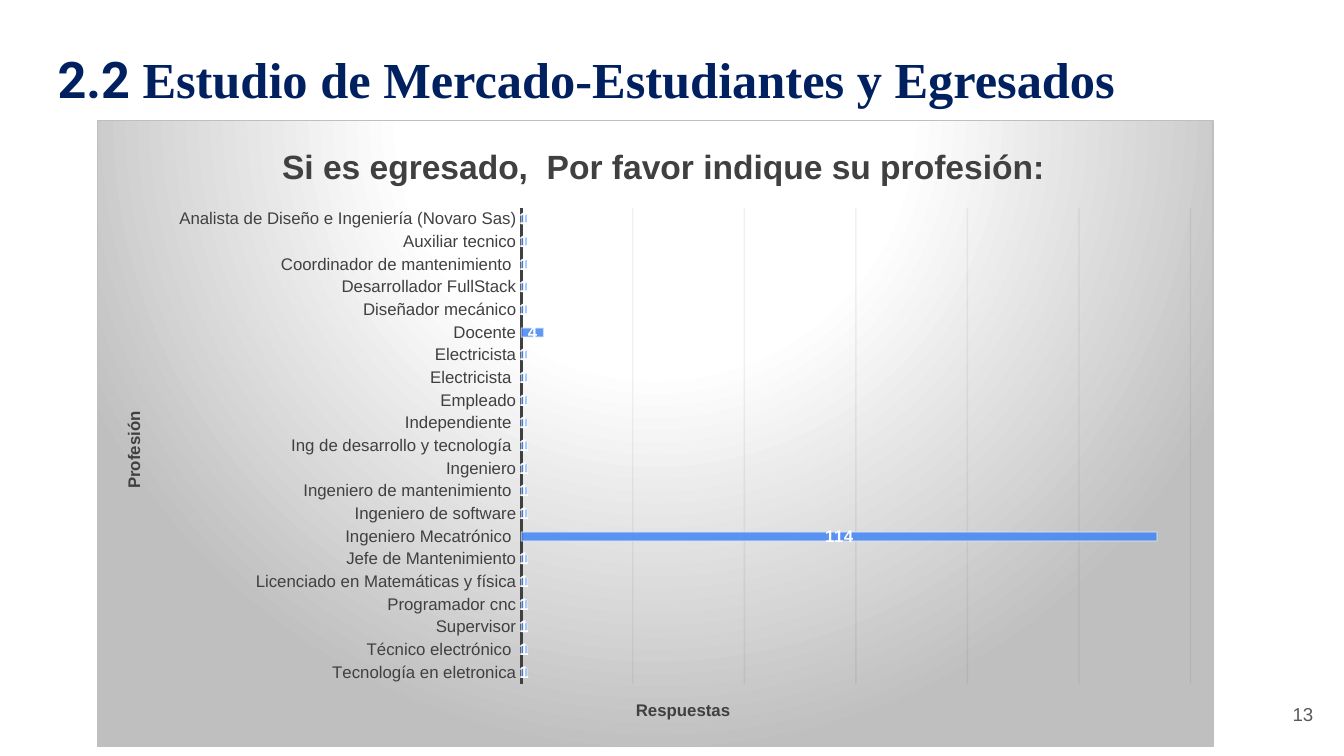
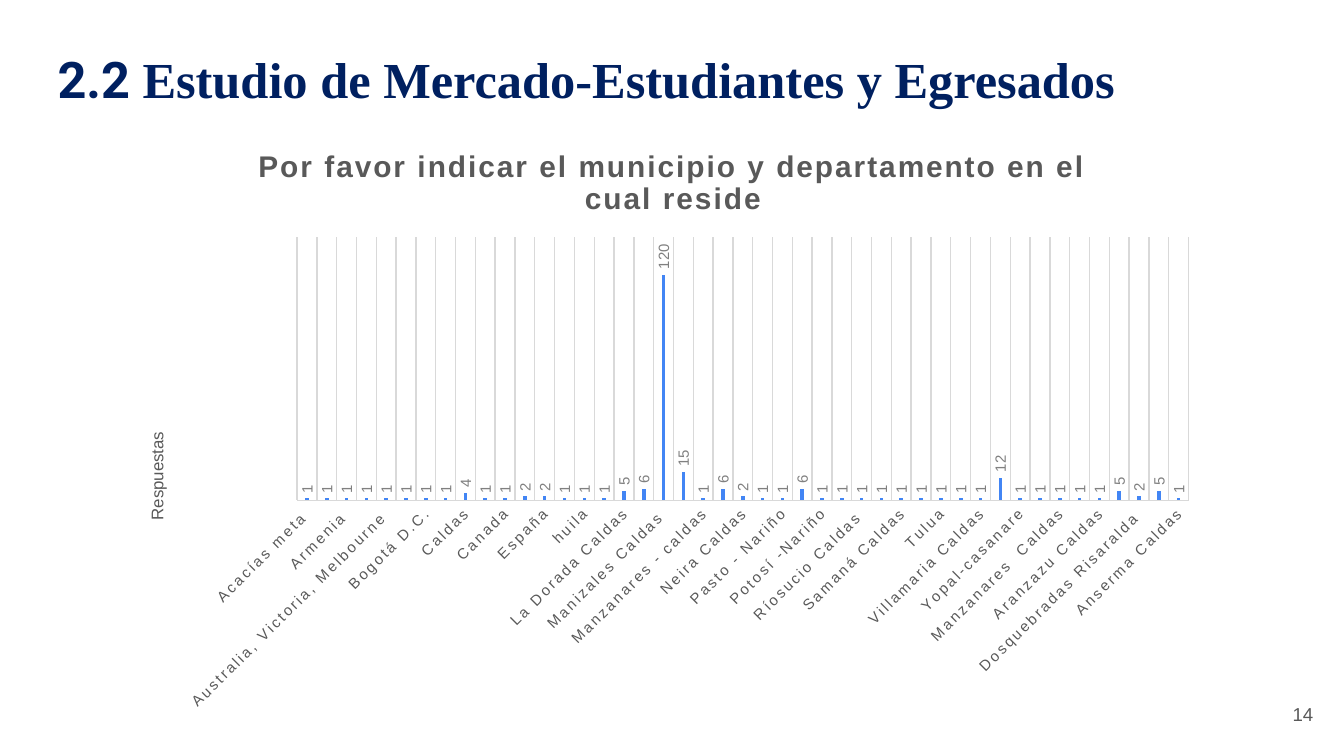
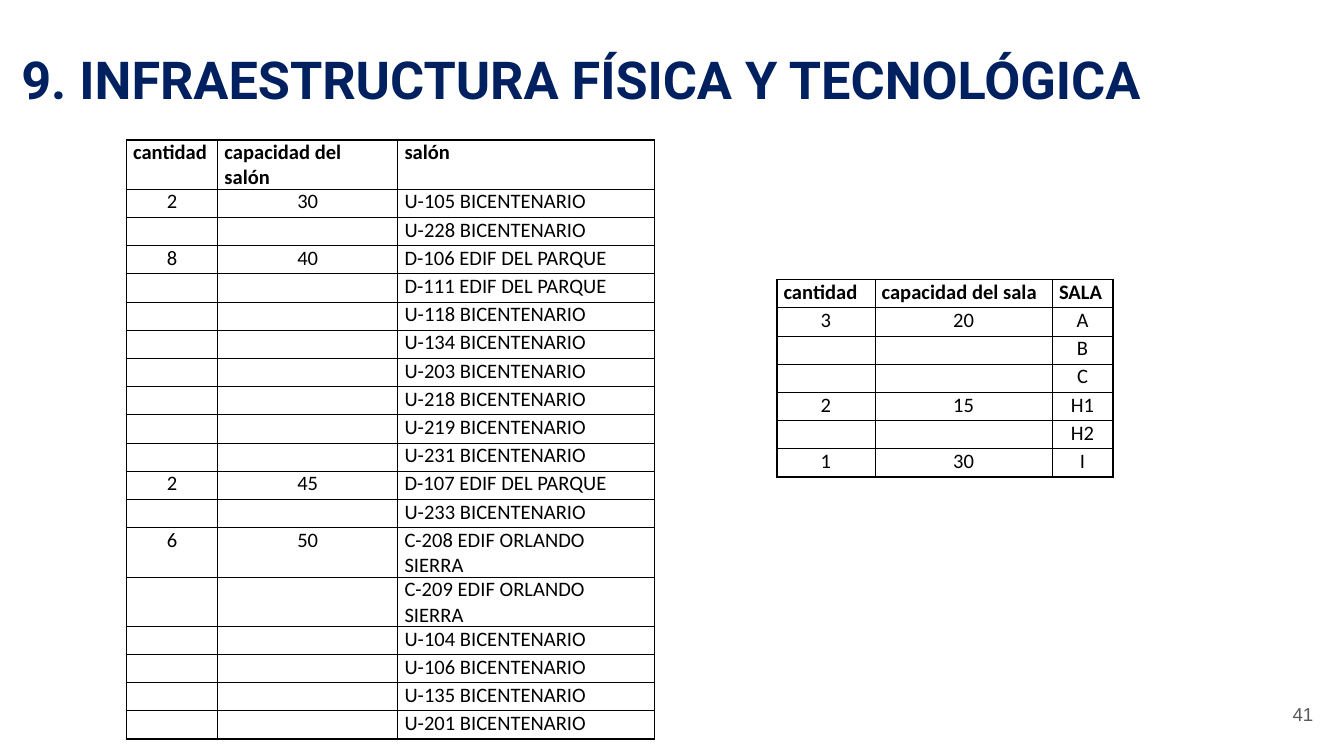
from lxml import etree
from pptx import Presentation
from pptx.chart.data import CategoryChartData
from pptx.dml.color import RGBColor
from pptx.enum.chart import XL_CHART_TYPE, XL_LABEL_POSITION, XL_TICK_MARK
from pptx.enum.text import MSO_ANCHOR, MSO_AUTO_SIZE, PP_ALIGN
from pptx.oxml import parse_xml
from pptx.oxml.ns import nsdecls, qn
from pptx.util import Inches, Pt

NAVY = RGBColor(0x00, 0x20, 0x60)
BLUE = RGBColor(0x42, 0x85, 0xF4)
WHITE = RGBColor(0xFF, 0xFF, 0xFF)
BLACK = RGBColor(0x00, 0x00, 0x00)
INK = RGBColor(0x0D, 0x0D, 0x0D)
DARK = RGBColor(0x40, 0x40, 0x40)
GREY = RGBColor(0x59, 0x59, 0x59)
MID = RGBColor(0x80, 0x80, 0x80)
PALE = RGBColor(0xD9, 0xD9, 0xD9)

STUDY = [("2.2 ", "Roboto"), ("Estudio de Mercado-Estudiantes y Egresados", "Times New Roman")]
INFRA = [("9. INFRAESTRUCTURA FÍSICA Y TECNOLÓGICA", "Roboto")]
# title runs, title size, title box, margin above and below, page number
PAGES = [
    (STUDY, 27, (0.33, 0.31, 8.76, 0.56), 0.05, "13"),
    (STUDY, 27, (0.33, 0.31, 8.76, 0.56), 0.05, "14"),
    (INFRA, 28, (0.06, 0.18, 9.18, 0.87), 0.1, "41"),
]

PROFESSIONS = [
    "Analista de Diseño e Ingeniería (Novaro Sas)", "Auxiliar tecnico",
    "Coordinador de mantenimiento ", "Desarrollador FullStack", "Diseñador mecánico",
    "Docente", "Electricista", "Electricista ", "Empleado", "Independiente ",
    "Ing de desarrollo y tecnología ", "Ingeniero", "Ingeniero de mantenimiento ",
    "Ingeniero de software", "Ingeniero Mecatrónico ", "Jefe de Mantenimiento",
    "Licenciado en Matemáticas y física", "Programador cnc", "Supervisor",
    "Técnico electrónico ", "Tecnología en eletronica",
]
TOWNS = [
    "Acacías meta ", "Andes Antioquia ", "Armenia ", "Atlantico",
    "Australia, Victoria, Melbourne ", "Barbosa", "Bogotá D.C.", "Bogotá DC", "Caldas",
    "Caldas ", "Canada", "Chinchina Caldas", "España", "Extranjero ", "huila", "Itagui ",
    "La Dorada Caldas", "Manizales Caldas", "Manizales Caldas ", "Manizales Caldas  ",
    "Manzanares - caldas", "Medellin Antioquia", "Neira Caldas", "Neiva, Huila",
    "Pasto - Nariño", "Pereira Risaralda ", "Potosí -Nariño", "Riosucio Caldas ",
    "Ríosucio Caldas ", "Risaralda ", "Samaná Caldas", "Santa rosa de cabal - Risaralda ",
    "Tulua", "Valledupar ", "Villamaria Caldas", "Villamaria Caldas ", "Yopal-casanare",
    "Zipaquirá", "Manzanares  Caldas", "Manizales Caldas   ", "Aranzazu Caldas",
    "Chinchiná Caldas", "Dosquebradas Risaralda ", "Cali Valle del Cauca ", "Anserma Caldas",
]
# answers other than one
PROFESSION_COUNTS = {"Docente": 4, "Ingeniero Mecatrónico ": 114}
TOWN_COUNTS = {
    "Caldas": 4, "Chinchina Caldas": 2, "España": 2, "La Dorada Caldas": 5,
    "Manizales Caldas": 6, "Manizales Caldas ": 120, "Manizales Caldas  ": 15,
    "Medellin Antioquia": 6, "Neira Caldas": 2, "Pereira Risaralda ": 6,
    "Villamaria Caldas ": 12, "Chinchiná Caldas": 5, "Dosquebradas Risaralda ": 2,
    "Cali Valle del Cauca ": 5,
}
UPRIGHT = -5400000
# Each chart: titles are (owner, text, size, bold, spacing, rotation, x, y)
CHARTS = [
    dict(kind=XL_CHART_TYPE.BAR_STACKED, box=(0.72, 0.89, 8.31, 4.67),
         names=PROFESSIONS, counts=PROFESSION_COUNTS, top=120, gap=150, overlap=100,
         plot=(0.38, 0.14, 0.6, 0.76), color=DARK, size=9, axis=(DARK, 1.5),
         label=(XL_LABEL_POSITION.CENTER, 9, WHITE, True),
         titles=[("chart", "Si es egresado,  Por favor indique su profesión:", 18, True, 0, 0, 0.16, 0.03),
                 ("category", "Profesión", 9, True, 0, UPRIGHT, 0.02, 0.46),
                 ("value", "Respuestas", 9, True, 0, 0, 0.48, 0.92)]),
    dict(kind=XL_CHART_TYPE.COLUMN_CLUSTERED, box=(0.9, 0.92, 8.19, 4.45),
         names=TOWNS, counts=TOWN_COUNTS, top=140, gap=444, overlap=-90,
         plot=(0.16, 0.19, 0.81, 0.44), color=GREY, size=8, axis=(PALE, 0.75),
         label=(XL_LABEL_POSITION.OUTSIDE_END, 8, MID, False),
         titles=[("chart", "Por favor indicar el municipio y departamento en el cual reside",
                  16, True, 120, 0, 0.12, 0.03),
                 ("value", "Respuestas", 9, False, 0, UPRIGHT, 0.02, 0.51)]),
]

ROOM_GROUPS = [
    ("2", "30", ["U-105 BICENTENARIO", "U-228 BICENTENARIO"]),
    ("8", "40", ["D-106 EDIF DEL PARQUE", "D-111 EDIF DEL PARQUE", "U-118 BICENTENARIO",
                 "U-134 BICENTENARIO", "U-203 BICENTENARIO", "U-218 BICENTENARIO",
                 "U-219 BICENTENARIO", "U-231 BICENTENARIO"]),
    ("2", "45", ["D-107 EDIF DEL PARQUE", "U-233 BICENTENARIO"]),
    ("6", "50", ["C-208 EDIF ORLANDO SIERRA", "C-209 EDIF ORLANDO SIERRA", "U-104 BICENTENARIO",
                 "U-106 BICENTENARIO", "U-135 BICENTENARIO", "U-201 BICENTENARIO"]),
]
LAB_GROUPS = [("3", "20", ["A", "B", "C"]), ("2", "15", ["H1", "H2"]), ("1", "30", ["I"])]
# left, top, column widths, header, groups, number of centred columns
TABLES = [
    (0.94, 1.04, (0.68, 1.34, 1.91), ("cantidad", "capacidad del salón", "salón"), ROOM_GROUPS, 2),
    (5.78, 2.08, (0.73, 1.32, 0.45), ("cantidad", "capacidad del sala", "SALA"), LAB_GROUPS, 3),
]


def place(element, **fractions):
    """Give a chart title or plot area a manual layout, in fractions of the chart."""
    for old in element.xpath("c:layout"):
        element.remove(old)
    is_plot = element.tag == qn("c:plotArea")
    layout = etree.Element(qn("c:layout"))
    manual = etree.SubElement(layout, qn("c:manualLayout"))
    settings = {"layoutTarget": "inner"} if is_plot else {}
    settings.update(xMode="edge", yMode="edge", **fractions)
    for name, value in settings.items():
        etree.SubElement(manual, qn("c:" + name)).set("val", str(value))
    element.insert(0 if is_plot else 1, layout)


def set_alpha(element, percent):
    color = element.xpath(".//a:srgbClr")[0]
    etree.SubElement(color, qn("a:alpha")).set("val", str(percent * 1000))


prs = Presentation()
prs.slide_width, prs.slide_height = Inches(10), Inches(5.625)
slides = []

# Titles and page numbers
for runs, size, box, margin, number in PAGES:
    s = prs.slides.add_slide(prs.slide_layouts[6])
    slides.append(s)
    tf = s.shapes.add_textbox(*map(Inches, box)).text_frame
    tf.word_wrap = True
    tf.margin_top = tf.margin_bottom = Inches(margin)
    p = tf.paragraphs[0]
    if runs is STUDY:
        tf.auto_size = MSO_AUTO_SIZE.SHAPE_TO_FIT_TEXT
    else:
        p.line_spacing = 1.15
    p.font.size, p.font.bold, p.font.color.rgb = Pt(size), True, NAVY
    for text, font in runs:
        r = p.add_run()
        r.text, r.font.name = text, font

    tf = s.shapes.add_textbox(Inches(9.27), Inches(5.1), Inches(0.6), Inches(0.43)).text_frame
    tf.word_wrap = True
    tf.vertical_anchor = MSO_ANCHOR.MIDDLE
    tf.margin_top = tf.margin_bottom = Inches(0.1)
    p = tf.paragraphs[0]
    p.text, p.alignment = number, PP_ALIGN.RIGHT
    p.font.size, p.font.name, p.font.color.rgb = Pt(10), "Arial", GREY

# Survey charts
charts = []
for s, survey in zip(slides, CHARTS):
    data = CategoryChartData()
    data.categories = survey["names"]
    data.add_series("Series 1", [survey["counts"].get(n, 1) for n in survey["names"]])
    chart = s.shapes.add_chart(survey["kind"], *map(Inches, survey["box"]), data).chart
    charts.append(chart)
    chart.has_legend = False
    chart.font.size, chart.font.name, chart.font.color.rgb = Pt(10), "Arial", BLACK

    plot = chart.plots[0]
    plot.gap_width, plot.overlap, plot.vary_by_categories = survey["gap"], survey["overlap"], False
    place(chart._chartSpace.chart.plotArea, **dict(zip("xywh", survey["plot"])))
    fill = plot.series[0].format.fill
    fill.solid()
    fill.fore_color.rgb = BLUE

    plot.has_data_labels = True
    labels = plot.data_labels
    labels.show_value = True
    labels.position, size, color, bold = survey["label"]
    labels.font.size, labels.font.bold, labels.font.color.rgb = Pt(size), bold, color
    labels.font.name = "Arial"

    cat, val = chart.category_axis, chart.value_axis
    cat.major_tick_mark = cat.minor_tick_mark = XL_TICK_MARK.NONE
    font = cat.tick_labels.font
    font.size, font.name, font.color.rgb = Pt(survey["size"]), "Arial", survey["color"]
    color, width = survey["axis"]
    cat.format.line.color.rgb, cat.format.line.width = color, Pt(width)
    val.visible = False
    val.minimum_scale, val.maximum_scale, val.major_unit = 0, survey["top"], 20

    for owner, text, size, bold, spacing, rotation, x, y in survey["titles"]:
        if owner == "chart":
            title = chart.chart_title
        else:
            title = (cat if owner == "category" else val).axis_title
        p = title.text_frame.paragraphs[0]
        p.text = text
        p.font.size, p.font.bold, p.font.name = Pt(size), bold, "Arial"
        p.font.color.rgb = survey["color"]
        title._element.xpath(".//a:defRPr")[0].set("spc", str(spacing))
        title._element.xpath(".//a:bodyPr")[0].set("rot", str(rotation))
        place(title._element, x=x, y=y)

# Professions: translucent bars on a spotlight background
chart = charts[0]
chart.category_axis.reverse_order = True
grid = chart.value_axis.major_gridlines.format.line
grid.color.rgb, grid.width = INK, Pt(0.75)
set_alpha(chart.value_axis._element.xpath("c:majorGridlines")[0], 5)
bar = chart.plots[0].series[0]
set_alpha(bar._element.xpath("c:spPr/a:solidFill")[0], 85)
bar.format.line.color.rgb, bar.format.line.width = WHITE, Pt(0.75)
set_alpha(bar._element.xpath("c:spPr/a:ln")[0], 50)
stops = "".join(f'<a:gs pos="{pos}000"><a:srgbClr val="{color}"/></a:gs>'
                for pos, color in (("", "FFFFFF"), (39, "FFFFFF"), (100, "BFBFBF")))
chart._chartSpace.xpath("c:txPr")[0].addprevious(parse_xml(
    f'<c:spPr {nsdecls("c", "a")}><a:gradFill><a:gsLst>{stops}</a:gsLst><a:path path="circle">'
    '<a:fillToRect l="50000" t="-80000" r="50000" b="180000"/></a:path></a:gradFill>'
    '<a:ln w="9525"><a:solidFill><a:srgbClr val="BFBFBF"/></a:solidFill></a:ln></c:spPr>'))

# Towns: slanted names, upright values, lines between categories
chart = charts[1]
cat = chart.category_axis
chart.value_axis.has_major_gridlines = False
cat.has_major_gridlines = True
grid = cat.major_gridlines.format.line
grid.color.rgb, grid.width = PALE, Pt(0.75)
cat._element.xpath("c:txPr/a:bodyPr")[0].set("rot", "-2700000")
cat._element.xpath("c:txPr//a:defRPr")[0].set("spc", "120")
chart.plots[0].data_labels._element.xpath("c:txPr/a:bodyPr")[0].set("rot", str(UPRIGHT))

# Room tables: thin inner lines, thicker frame
for left, top, widths, header, groups, centred in TABLES:
    rows = [header]
    for count, capacity, rooms in groups:
        rows += [(count, capacity, rooms[0])] + [("", "", room) for room in rooms[1:]]
    last_row, last_col = len(rows) - 1, len(widths) - 1
    table = slides[2].shapes.add_table(len(rows), len(widths), Inches(left), Inches(top),
                                       Inches(sum(widths)), Inches(0.21 * len(rows))).table
    table.first_row = table.horz_banding = False
    for col, width in zip(table.columns, widths):
        col.width = Inches(width)
    for i, row in enumerate(rows):
        table.rows[i].height = Inches(0.21)
        for j, text in enumerate(row):
            cell = table.cell(i, j)
            cell.margin_left = cell.margin_right = Inches(0.05)
            cell.margin_top = cell.margin_bottom = 0
            if centred == 3 and j == last_col:
                cell.fill.solid()
                cell.fill.fore_color.rgb = WHITE
            else:
                cell.fill.background()
            p = cell.text_frame.paragraphs[0]
            if i and j < centred:
                p.alignment = PP_ALIGN.CENTER
            p.font.size, p.font.name, p.font.bold = Pt(11), "Calibri", i == 0
            p.font.color.rgb = BLACK
            if text:
                p.text = text
            else:
                etree.SubElement(p._p, qn("a:endParaRPr")).set("sz", "1100")
            edges = {"L": j == 0, "R": j == last_col, "T": i == 0, "B": i == last_row}
            for k, (side, outer) in enumerate(edges.items()):
                cell._tc.get_or_add_tcPr().insert(k, parse_xml(
                    f'<a:ln{side} {nsdecls("a")} w="{12700 if outer else 6350}"><a:solidFill>'
                    f'<a:srgbClr val="{BLACK}"/></a:solidFill></a:ln{side}>'))

prs.save("out.pptx")
